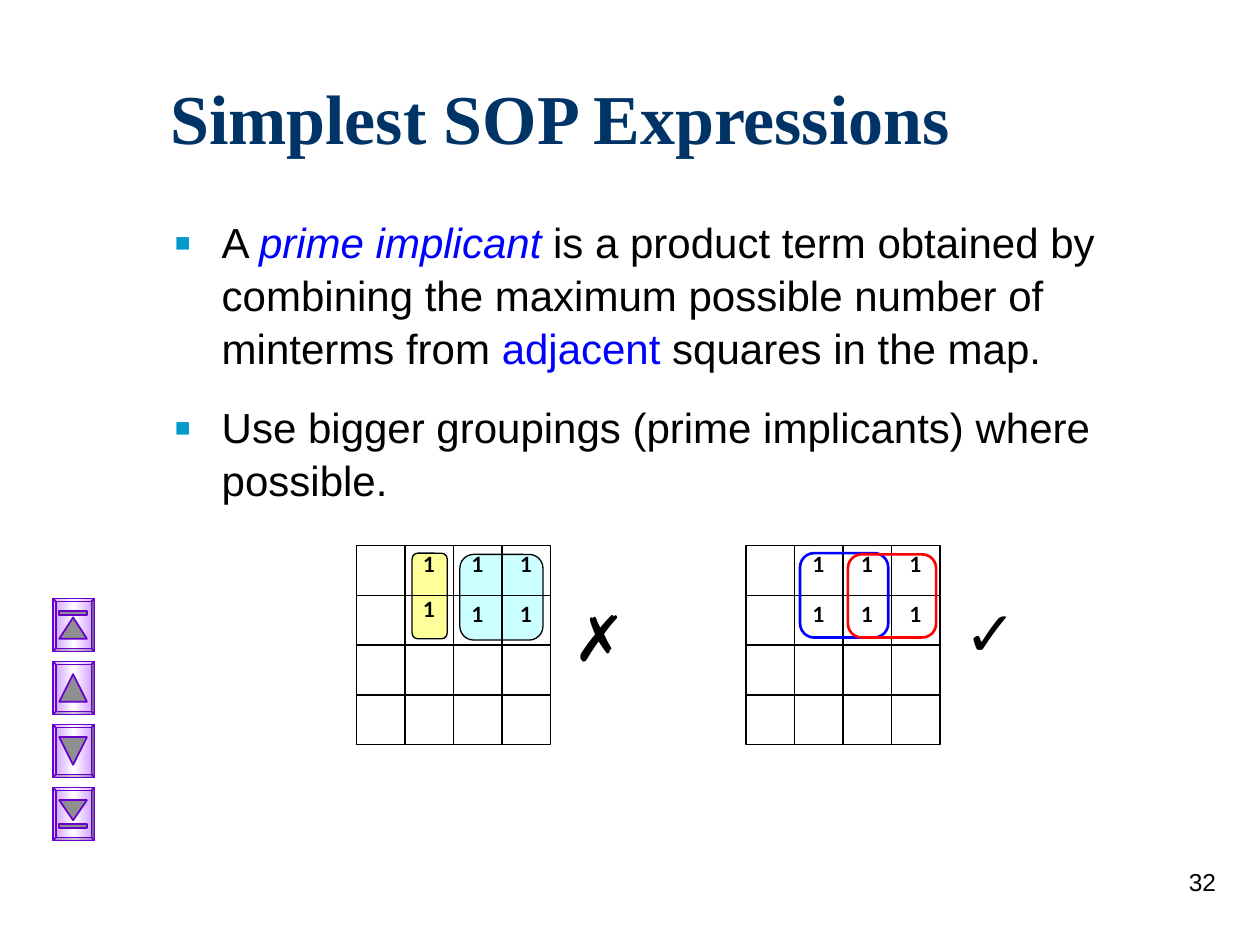
from dataclasses import dataclass

from lxml.etree import SubElement
from pptx import Presentation
from pptx.dml.color import RGBColor
from pptx.enum.shapes import MSO_CONNECTOR as Conn, MSO_SHAPE as Shape
from pptx.enum.text import MSO_ANCHOR as Anchor, MSO_AUTO_SIZE as Fit, PP_ALIGN as Align
from pptx.oxml.ns import qn
from pptx.util import Inches, Pt


@dataclass(frozen=True)
class Theme:
    title_font: str = "Times New Roman"
    body_font: str = "Arial"
    map_font: str = "Lato"
    title: int = 40
    body: int = 24
    mark: int = 36
    page: int = 14
    cell: int = 12
    navy: str = "003366"
    black: str = "000000"
    blue: str = "0000FF"
    red: str = "FF0000"
    bullet: str = "0099CC"
    cyan: str = "CCFFFF"
    yellow: str = "FFFF99"
    purple: str = "6600CC"
    lilac: str = "CC99FF"
    white: str = "FFFFFF"
    grey: str = "8F8F8F"


T = Theme()

# Content
TITLE = "Simplest SOP Expressions"
BULLETS = [  # runs: text, colour, italic
    [("A ", T.black, False), ("prime implicant", T.blue, True),
     (" is a product term obtained by combining the maximum possible number of minterms from ",
      T.black, False),
     ("adjacent", T.blue, False), (" squares in the map.", T.black, False)],
    [("Use bigger groupings (prime implicants) where possible.", T.black, False)],
]
PAGE = "32"
ONES = [(row, col) for row in (0, 1) for col in (1, 2, 3)]
MAPS = [  # groups: box, fill, line colour, line width
    dict(left=2.83, mark="✗", mark_at=(4.45, 4.7), over=False, raised={(1, 1): 0.04},
         groups=[((3.65, 4.4, 0.66, 0.68), T.cyan, T.black, 0.75),
                 ((3.27, 4.39, 0.28, 0.68), T.yellow, T.black, 0.75)]),
    dict(left=5.92, mark="✓", mark_at=(7.56, 4.66), over=True, raised={},
         groups=[((6.35, 4.39, 0.7, 0.67), None, T.blue, 1.5),
                 ((6.73, 4.4, 0.7, 0.66), None, T.red, 1.5)]),
]
# Buttons: arrow top, arrow height, points down, bar top
BUTTONS = [(0.15, 0.17, False, 0.1), (0.1, 0.22, False, None),
           (0.1, 0.22, True, None), (0.1, 0.16, True, 0.29)]

# Layout
N, MAP_TOP, MAP_W, MAP_H = 4, 4.33, 1.54, 1.58
COL, ROW = MAP_W / N, MAP_H / N
BTN_LEFT, BTN_TOP, BTN_W, BTN_H, BTN_STEP = 0.42, 4.75, 0.33, 0.42, 0.5
ICON_INSET, ICON_W, BAR_H = 0.05, 0.22, 0.03


def rgb(value):
    return RGBColor.from_string(value)


def box_of(*lengths):
    return [Inches(v) for v in lengths]


def add_run(p, text, font, size, color, bold=False, italic=False):
    r = p.add_run()
    r.text = text
    f = r.font
    f.name, f.size, f.bold, f.italic = font, Pt(size), bold, italic
    f.color.rgb = rgb(color)


def add_text(s, box, text, font, size, align=Align.LEFT, bold=False):
    tf = s.shapes.add_textbox(*box_of(*box)).text_frame
    tf.word_wrap = True
    p = tf.paragraphs[0]
    p.alignment = align
    add_run(p, text, font, size, T.black, bold)


def add_box(s, kind, box, fill, line, width, adj=None):
    sp = s.shapes.add_shape(kind, *box_of(*box))
    sp.shadow.inherit = False
    if fill:
        sp.fill.solid()
        sp.fill.fore_color.rgb = rgb(fill)
    else:
        sp.fill.background()
    sp.line.color.rgb = rgb(line)
    sp.line.width = Pt(width)
    if adj is not None:
        sp.adjustments[0] = adj
    return sp


def add_line(s, *ends):
    line = s.shapes.add_connector(Conn.STRAIGHT, *box_of(*ends))
    line.line.color.rgb = rgb(T.black)
    line.line.width = Pt(0.75)
    SubElement(line._element.spPr, qn("a:effectLst"))


def add_bullet(p):
    pPr = p._p.get_or_add_pPr()
    pPr.set("marL", str(Inches(0.38)))
    pPr.set("indent", str(-Inches(0.38)))
    SubElement(SubElement(pPr, qn("a:buClr")), qn("a:srgbClr"), val=T.bullet)
    SubElement(pPr, qn("a:buSzPct"), val="120000")
    SubElement(pPr, qn("a:buFont"), typeface=T.body_font)
    SubElement(pPr, qn("a:buChar"), char="▪")


def place(sp, box, anchor):
    sp.left, sp.top, sp.width, sp.height = box_of(*box)
    tf = sp.text_frame
    tf.word_wrap, tf.auto_size, tf.vertical_anchor = True, Fit.NONE, anchor
    return tf


def add_map(s, left, mark, mark_at, over, raised, groups):
    def draw_groups():
        for box, fill, line, width in groups:
            add_box(s, Shape.ROUNDED_RECTANGLE, box, fill, line, width, 0.167)

    if not over:
        draw_groups()
    add_box(s, Shape.RECTANGLE, (left, MAP_TOP, MAP_W, MAP_H), None, T.black, 0.75)
    for i in range(1, N):
        x, y = left + i * COL, MAP_TOP + i * ROW
        add_line(s, left, y, left + MAP_W, y)
        add_line(s, x, MAP_TOP, x, MAP_TOP + MAP_H)
    for row, col in ONES:
        top = MAP_TOP + row * ROW - raised.get((row, col), 0)
        add_text(s, (left + col * COL, top, COL, ROW), "1", T.map_font, T.cell,
                 Align.CENTER, True)
    if over:
        draw_groups()
    add_text(s, (*mark_at, 0.77, 0.92), mark, T.body_font, T.mark)


def add_button(s, top, arrow_top, arrow_h, down, bar_top):
    frame = add_box(s, Shape.BEVEL, (BTN_LEFT, top, BTN_W, BTN_H), None, T.purple, 1, 0.07)
    frame.fill.gradient()
    frame.fill.gradient_angle = 0
    stops = frame.fill._fill._gradFill.find(qn("a:gsLst"))
    for stop in list(stops):
        stops.remove(stop)
    for pos, color in ((0, T.lilac), (50, T.white), (100, T.lilac)):
        stop = SubElement(stops, qn("a:gs"), pos=str(pos * 1000))
        SubElement(stop, qn("a:srgbClr"), val=color)
    x = BTN_LEFT + ICON_INSET
    arrow = add_box(s, Shape.ISOSCELES_TRIANGLE, (x, top + arrow_top, ICON_W, arrow_h),
                    T.grey, T.purple, 1)
    if down:
        arrow.rotation = 180
    if bar_top is not None:
        add_box(s, Shape.RECTANGLE, (x, top + bar_top, ICON_W, BAR_H), T.grey, T.purple, 1)


def main():
    prs = Presentation()
    prs.slide_width, prs.slide_height = box_of(10, 7.5)
    s = prs.slides.add_slide(prs.slide_layouts[1])

    # Title and bullets
    p = place(s.shapes.title, (1.25, 0.5, 8.5, 0.85), Anchor.MIDDLE).paragraphs[0]
    p.alignment = Align.LEFT
    add_run(p, TITLE, T.title_font, T.title, T.navy, True)
    tf = place(s.placeholders[1], (1.28, 1.65, 8.5, 2.43), Anchor.TOP)
    for i, runs in enumerate(BULLETS):
        p = tf.add_paragraph() if i else tf.paragraphs[0]
        add_bullet(p)
        p.space_before = Pt(15 if i else 0)
        p.line_spacing = 1.05
        for text, color, italic in runs:
            add_run(p, text, T.body_font, T.body, color, italic=italic)

    # Karnaugh maps
    for kmap in MAPS:
        add_map(s, **kmap)

    # Navigation buttons and page number
    for i, button in enumerate(BUTTONS):
        add_button(s, BTN_TOP + i * BTN_STEP, *button)
    add_text(s, (7.67, 6.83, 2.08, 0.5), PAGE, T.body_font, T.page, Align.RIGHT)
    prs.save("out.pptx")


if __name__ == "__main__":
    main()
